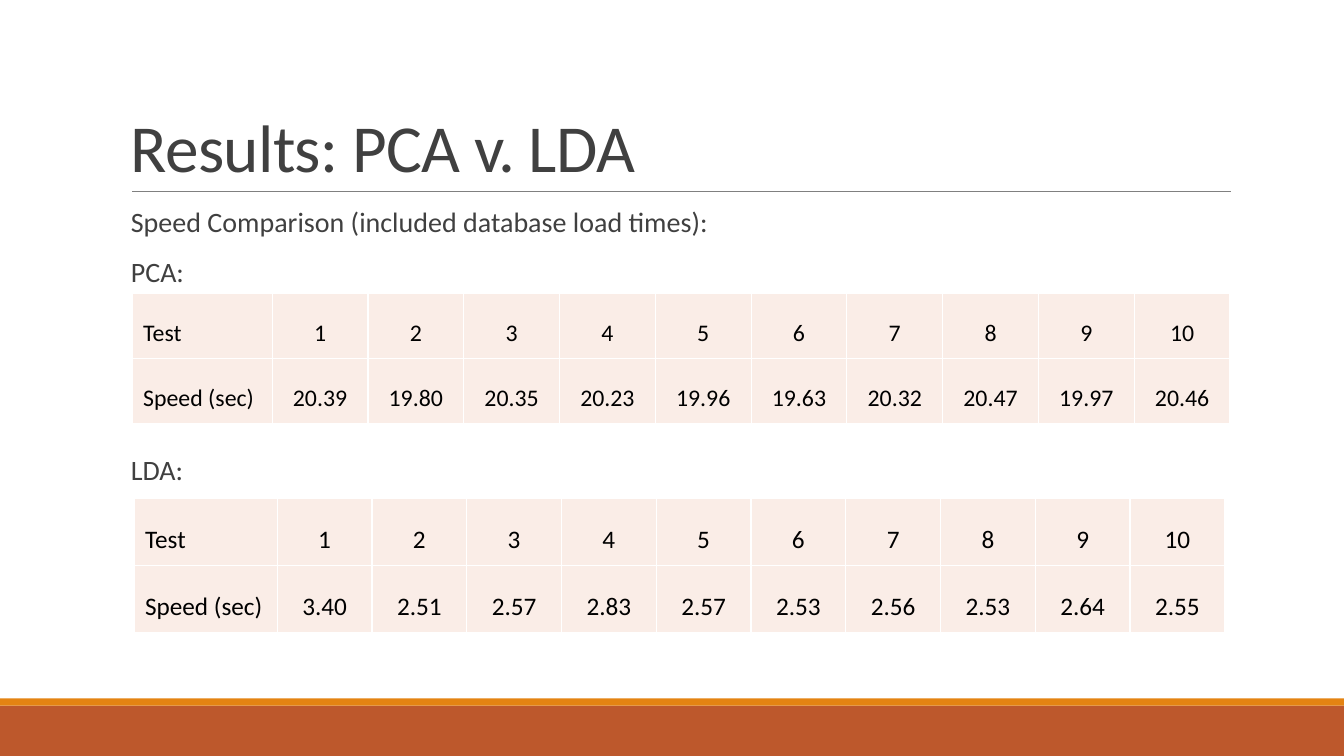
from dataclasses import dataclass

from lxml import etree
from pptx import Presentation
from pptx.dml.color import RGBColor
from pptx.enum.shapes import MSO_CONNECTOR, MSO_SHAPE
from pptx.enum.text import MSO_ANCHOR, PP_ALIGN
from pptx.oxml.ns import qn
from pptx.util import Pt

RECT = MSO_SHAPE.RECTANGLE
STRAIGHT = MSO_CONNECTOR.STRAIGHT
TOP, BOTTOM = MSO_ANCHOR.TOP, MSO_ANCHOR.BOTTOM
LEFT, CENTER, JUSTIFY = PP_ALIGN.LEFT, PP_ALIGN.CENTER, PP_ALIGN.JUSTIFY

EMU_PER_PX = 9144  # 100 px to the inch
FONT = "Calibri"
TEXT_COLOR, CELL_TEXT, CELL_FILL, BORDER = "404040", "000000", "FAEDE7", "FFFFFF"
CELL_MARGIN = 11


@dataclass
class Band:
    top: int
    height: int
    color: str


@dataclass
class Line:
    text: str
    size: int
    spacing: float
    before: int = 0
    after: int = 0
    tracking: int = 0


@dataclass
class SpeedTable:
    left: int
    top: int
    label_width: int
    test_width: int
    row_height: int
    size: int
    speeds: list[str]


BANDS = [Band(700, 50, "BD582C"), Band(693, 7, "E48312")]
TITLE = [Line("Results: PCA v. LDA", 48, 0.85, tracking=-50)]
BODY = [
    Line("Speed Comparison (included database load times):", 20, 0.9, 12, 2),
    Line("PCA:", 20, 0.9, 12, 2),
    Line("LDA:", 20, 0.9, 118, 2),
]
TABLES = [
    SpeedTable(131, 291, 139, 95, 64, 17,
               ["20.39", "19.80", "20.35", "20.23", "19.96",
                "19.63", "20.32", "20.47", "19.97", "20.46"]),
    SpeedTable(133, 494, 142, 94, 67, 18,
               ["3.40", "2.51", "2.57", "2.83", "2.57",
                "2.53", "2.56", "2.53", "2.64", "2.55"]),
]


def px(n: int) -> int:
    return n * EMU_PER_PX


def rgb(color: str) -> RGBColor:
    return RGBColor.from_string(color)


def add_run(p, text: str, size: int, color: str, tracking: int = 0) -> None:
    """Add a run; tracking is in hundredths of a point."""
    r = p.add_run()
    r.text = text
    r.font.name, r.font.size = FONT, Pt(size)
    r.font.color.rgb = rgb(color)
    if tracking:
        r.font._element.set("spc", str(tracking))


def add_band(s, band: Band, width: int) -> None:
    sp = s.shapes.add_shape(RECT, 0, px(band.top), width, px(band.height))
    sp.shadow.inherit = False
    sp.fill.solid()
    sp.fill.fore_color.rgb = rgb(band.color)
    sp.line.fill.background()


def add_title_rule(s) -> None:
    rule = s.shapes.add_connector(STRAIGHT, px(131), px(190), px(1221), px(190))
    rule.line.color.rgb = rgb("808080")
    rule.line.width = Pt(0.5)
    etree.SubElement(rule._element.spPr, qn("a:effectLst"))


def add_text(s, top: int, height: int, anchor, lines: list[Line]) -> None:
    tf = s.shapes.add_textbox(px(120), px(top), px(1100), px(height)).text_frame
    tf.word_wrap = True
    tf.vertical_anchor = anchor
    for i, line in enumerate(lines):
        p = tf.add_paragraph() if i else tf.paragraphs[0]
        p.alignment = LEFT
        p.line_spacing = line.spacing
        p.space_before, p.space_after = Pt(line.before), Pt(line.after)
        add_run(p, line.text, line.size, TEXT_COLOR, line.tracking)


def add_borders(cell) -> None:
    """Draw 1 pt lines on all four sides; call before setting the cell's fill."""
    tc_pr = cell._tc.get_or_add_tcPr()
    for side in ("lnL", "lnR", "lnT", "lnB"):
        ln = etree.SubElement(tc_pr, qn(f"a:{side}"), w=str(Pt(1)))
        fill = etree.SubElement(ln, qn("a:solidFill"))
        etree.SubElement(fill, qn("a:srgbClr"), val=BORDER)


def fill_cell(cell, text: str, size: int, align) -> None:
    add_borders(cell)
    cell.fill.solid()
    cell.fill.fore_color.rgb = rgb(CELL_FILL)
    cell.margin_left = cell.margin_right = px(CELL_MARGIN)
    cell.margin_top = cell.margin_bottom = px(CELL_MARGIN)
    p = cell.text_frame.paragraphs[0]
    p.alignment = align
    p.line_spacing, p.space_before = 1.5, Pt(6)
    add_run(p, text, size, CELL_TEXT)


def add_speed_table(s, spec: SpeedTable) -> None:
    count = len(spec.speeds)
    widths = [spec.label_width] + [spec.test_width] * count
    rows = [["Test"] + [str(n + 1) for n in range(count)],
            ["Speed (sec)"] + spec.speeds]
    table = s.shapes.add_table(
        len(rows), len(widths), px(spec.left), px(spec.top),
        px(sum(widths)), px(spec.row_height * len(rows))).table
    table.first_row = table.horz_banding = False
    for column, width in zip(table.columns, widths):
        column.width = px(width)
    for i, row in enumerate(rows):
        for j, text in enumerate(row):
            fill_cell(table.cell(i, j), text, spec.size, CENTER if j else JUSTIFY)


def main() -> None:
    prs = Presentation()
    prs.slide_width, prs.slide_height = px(1333), px(750)
    s = prs.slides.add_slide(prs.slide_layouts[6])
    for band in BANDS:
        add_band(s, band, prs.slide_width)
    add_title_rule(s)
    add_text(s, 31, 159, BOTTOM, TITLE)
    add_text(s, 202, 440, TOP, BODY)
    for table in TABLES:
        add_speed_table(s, table)
    prs.save("out.pptx")


if __name__ == "__main__":
    main()
